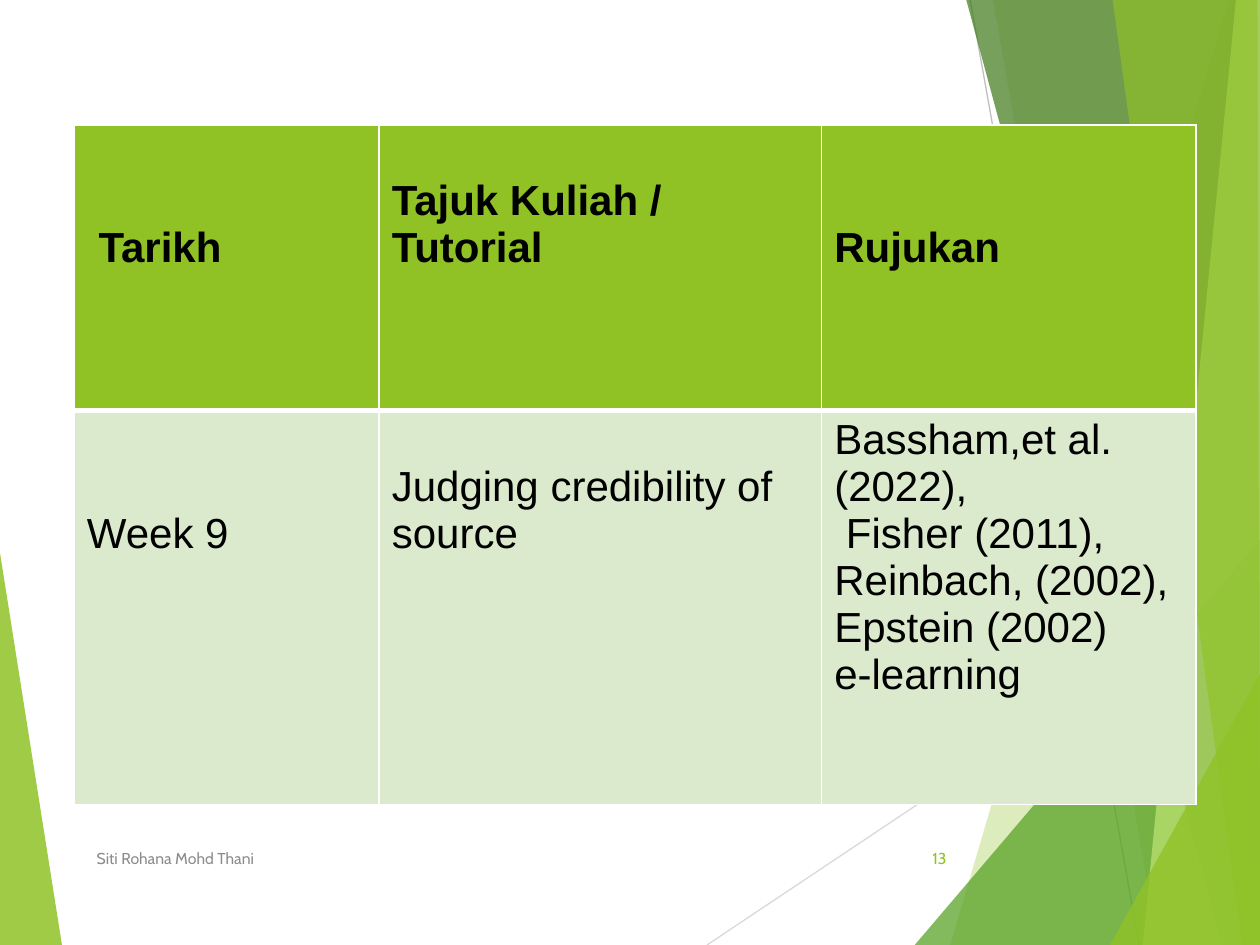
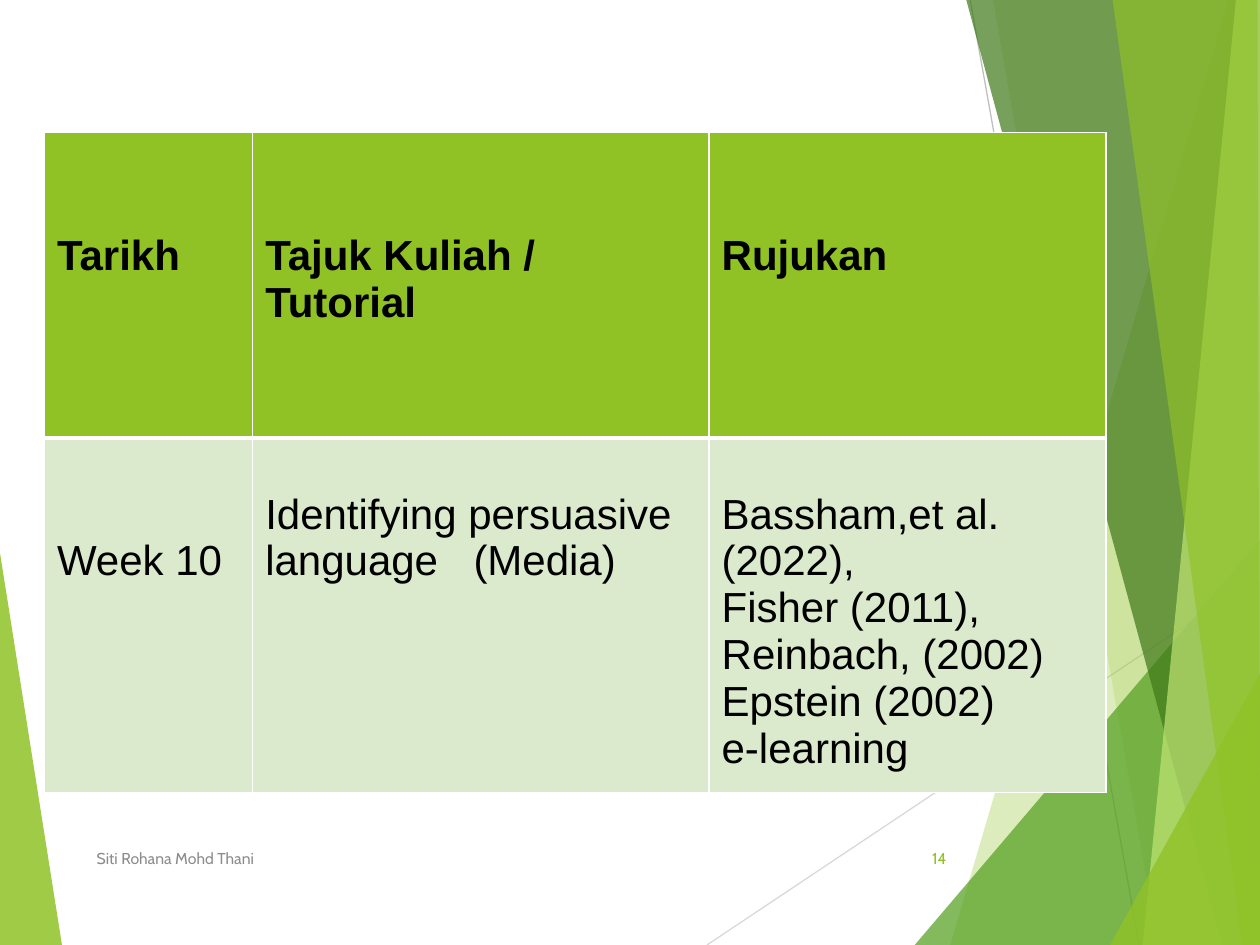
from lxml import etree
from pptx import Presentation
from pptx.dml.color import RGBColor
from pptx.enum.shapes import MSO_CONNECTOR
from pptx.enum.text import MSO_ANCHOR, PP_ALIGN
from pptx.oxml.ns import qn
from pptx.util import Pt

STRAIGHT = MSO_CONNECTOR.STRAIGHT
MIDDLE = MSO_ANCHOR.MIDDLE
LEFT, RIGHT = PP_ALIGN.LEFT, PP_ALIGN.RIGHT

W, H = 720, 540
COLORS = {
    "lime": "90C226", "green": "54A021", "forest": "3F7819", "pale": "C0E474",
    "cell": "DBE9CD", "white": "FFFFFF", "black": "000000",
    "footer": "8C8C8C", "line": "D9D9D9", "line_dark": "BFBFBF",
}
BODY_FONT, FOOTER_FONT = "Arial", "Cabin"
BODY_SIZE, FOOTER_SIZE = 24, 9
LINE_HEIGHT = 26.8
INSET_X, INSET_Y = 7.2, 3.6
SPACE = 6.67  # width of one space in the body text
MEDIA_TAB = 119

AUTHOR = "Siti Rohana Mohd Thani"
HEADERS = ["Tarikh", "Tajuk Kuliah / Tutorial", "Rujukan"]

LEFT_WEDGE = [(0, 316), (35.4, H), (0, H)]
LINES = [((404, H), (W, 329), "line"), ((554.4, 0), (651, H), "line_dark")]


def band(top_x, bottom_x, right_top=W):
    """Full-height band from a slanted edge to the right side of the slide."""
    return [(top_x, 0), (bottom_x, H), (W, H), (right_top, 0)]


def corner(bottom_x, top_y):
    """Triangle in the bottom right corner."""
    return [(bottom_x, H), (W, top_y), (W, H)]


# points, colour, opacity in percent
RIGHT_BANDS = [
    (band(702, 543), "lime", 30),
    (band(567.4, 661.7), "lime", 20),
    (corner(522.7, 308.5), "green", 72),
    (band(552.2, 698.4), "forest", 70),
    (band(706.3, 653), "pale", 70),
    (band(635.8, 710, 718.6), "lime", 65),
    (corner(634.3, 385), "lime", 80),
]

# Each cell: blank lines above, its paragraphs, {paragraph: indent}
WEEKS = [
    {
        "number": "13", "at": (42.5, 71.3),
        "cols": [174.2, 252.9, 213.8], "rows": [163.4, 225],
        "cells": [
            [(2, HEADERS[:1], {0: SPACE}), (1, HEADERS[1:2], {}), (2, HEADERS[2:], {})],
            [(2, ["Week 9"], {}),
             (1, ["Judging credibility of source"], {}),
             (0, ["Bassham,et al. (2022),", "Fisher (2011),", "Reinbach, (2002),",
                  "Epstein (2002)", "e-learning"], {1: SPACE})],
        ],
    },
    {
        "number": "14", "at": (25.4, 75.6),
        "cols": [119, 260.8, 226.8], "rows": [174.6, 202.8],
        "cells": [
            [(2, [header], {}) for header in HEADERS],
            [(2, ["Week 10"], {}),
             (1, ["Identifying persuasive language\t(Media)"], {}),
             (1, ["Bassham,et al. (2022),", "Fisher (2011),", "Reinbach, (2002)",
                  "Epstein (2002)", "e-learning"], {})],
        ],
    },
]


def rgb(name):
    return RGBColor.from_string(COLORS[name])


class Deck:
    def __init__(self):
        self.prs = Presentation()
        self.prs.slide_width, self.prs.slide_height = Pt(W), Pt(H)
        self.s = None

    def slide(self):
        self.s = self.prs.slides.add_slide(self.prs.slide_layouts[6])

    def polygon(self, points, color, opacity):
        pts = [(Pt(x), Pt(y)) for x, y in points]
        builder = self.s.shapes.build_freeform(*pts[0], scale=1.0)
        builder.add_line_segments(pts[1:], close=True)
        sp = builder.convert_to_shape()
        sp.shadow.inherit = False
        sp.fill.solid()
        sp.fill.fore_color.rgb = rgb(color)
        sp.line.fill.background()
        clr = sp.fill._xPr.find(qn("a:solidFill"))[0]
        etree.SubElement(clr, qn("a:alpha"), val=str(opacity * 1000))

    def line(self, start, end, color):
        cx = self.s.shapes.add_connector(STRAIGHT, *map(Pt, start + end))
        cx.line.color.rgb = rgb(color)
        cx.line.width = Pt(0.75)
        etree.SubElement(cx._element.spPr, qn("a:effectLst"))

    def style(self, p, font, size, color, bold=False):
        for r in p.runs:
            r.font.name, r.font.size, r.font.bold = font, Pt(size), bold
            r.font.color.rgb = rgb(color)

    def text(self, text, x, y, w, h, color, align=LEFT):
        tf = self.s.shapes.add_textbox(Pt(x), Pt(y), Pt(w), Pt(h)).text_frame
        tf.word_wrap = True
        tf.vertical_anchor = MIDDLE
        tf.text = text
        p = tf.paragraphs[0]
        p.alignment = align
        self.style(p, FOOTER_FONT, FOOTER_SIZE, color)

    def backdrop(self):
        self.polygon(LEFT_WEDGE, "lime", 85)
        for start, end, color in LINES:
            self.line(start, end, color)
        for points, color, opacity in RIGHT_BANDS:
            self.polygon(points, color, opacity)

    def footer(self, number):
        self.text(AUTHOR, 48.2, 476, 364.3, 28.8, "footer")
        self.text(number, 507.6, 476, 40.3, 28.8, "lime", RIGHT)

    def borders(self, cell, widths):
        tcPr = cell._tc.get_or_add_tcPr()
        for i, (side, width) in enumerate(widths.items()):
            ln = etree.Element(qn("a:ln" + side), w=str(Pt(width)))
            fill = etree.SubElement(ln, qn("a:solidFill"))
            etree.SubElement(fill, qn("a:srgbClr"), val=COLORS["white"])
            tcPr.insert(i, ln)

    def cell(self, cell, blank_lines, lines, indents, header):
        cell.margin_left = cell.margin_right = Pt(INSET_X)
        cell.margin_top = Pt(INSET_Y + blank_lines * LINE_HEIGHT)
        cell.margin_bottom = Pt(INSET_Y)
        cell.fill.solid()
        cell.fill.fore_color.rgb = rgb("lime" if header else "cell")
        self.borders(cell, {"L": 1, "R": 1, "T": 1 if header else 3, "B": 3 if header else 1})
        cell.text_frame.text = "\n".join(lines)
        for i, p in enumerate(cell.text_frame.paragraphs):
            self.style(p, BODY_FONT, BODY_SIZE, "black", header)
            pPr = p._p.get_or_add_pPr()
            if i in indents:
                pPr.set("marL", str(Pt(indents[i])))
            if "\t" in lines[i]:
                tabs = etree.SubElement(pPr, qn("a:tabLst"))
                etree.SubElement(tabs, qn("a:tab"), pos=str(Pt(MEDIA_TAB)), algn="l")

    def table(self, at, cols, rows, cells):
        x, y = at
        table = self.s.shapes.add_table(len(rows), len(cols), Pt(x), Pt(y),
                                        Pt(sum(cols)), Pt(sum(rows))).table
        table.first_row = table.horz_banding = False
        for column, width in zip(table.columns, cols):
            column.width = Pt(width)
        for row, height in zip(table.rows, rows):
            row.height = Pt(height)
        for i, row in enumerate(cells):
            for j, content in enumerate(row):
                self.cell(table.cell(i, j), *content, header=i == 0)


def main():
    deck = Deck()
    for week in WEEKS:
        deck.slide()
        deck.backdrop()
        deck.table(week["at"], week["cols"], week["rows"], week["cells"])
        deck.footer(week["number"])
    deck.prs.save("out.pptx")


if __name__ == "__main__":
    main()
